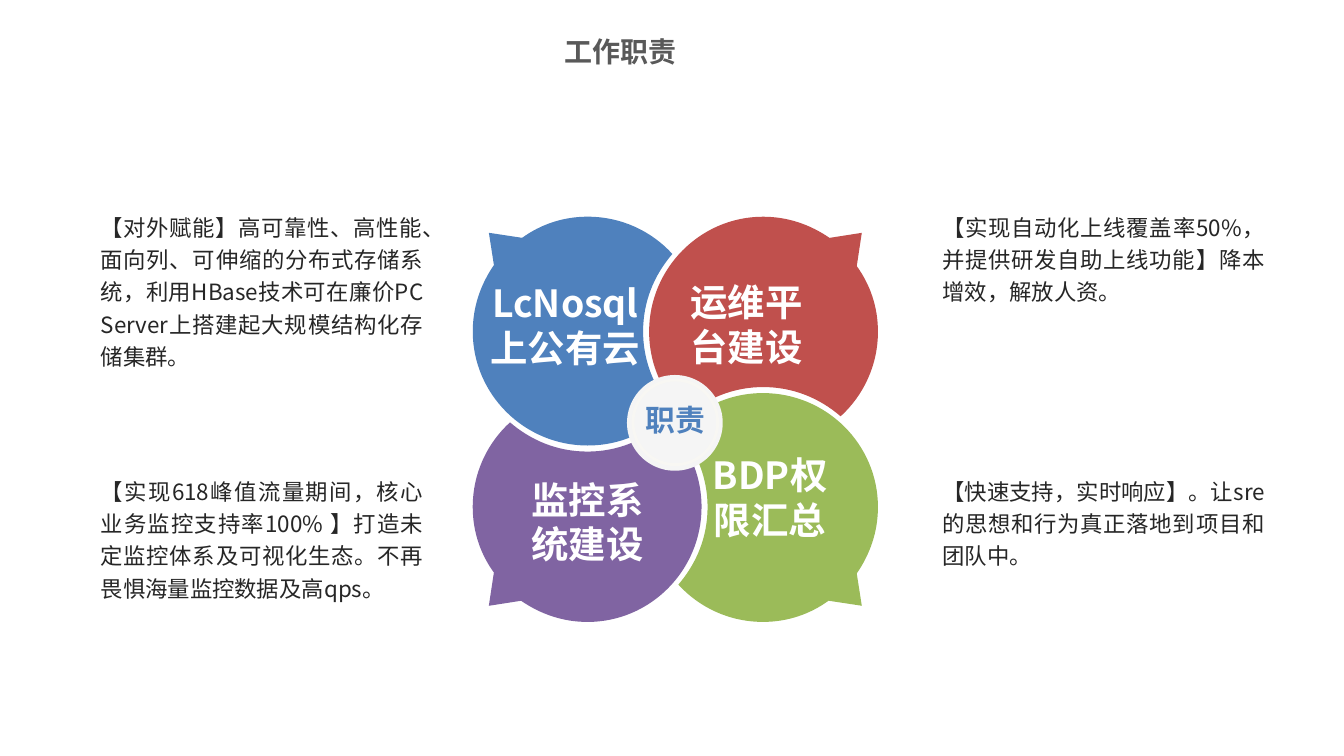
from lxml.etree import SubElement
from pptx import Presentation
from pptx.dml.color import RGBColor
from pptx.enum.shapes import MSO_SHAPE
from pptx.enum.text import MSO_AUTO_SIZE, PP_ALIGN
from pptx.oxml.ns import qn
from pptx.util import Inches, Pt

COLORS = {
    "title": "595959", "body": "262626", "white": "FFFFFF",
    "blue": "4F81BD", "red": "C0504D", "green": "9BBB59",
    "purple": "8064A2", "hub": "F5F5F5", "ring": "F8F7F3",
}
CENTER = (6.7, 4.16)
START = (-0.87, -2.01)
PETAL = (
    ((-0.54, -2.01), (-0.24, -1.87), (-0.03, -1.64)),
    ((-0.21, -1.43), (-0.32, -1.17), (-0.32, -0.87)),
    ((-0.32, -0.58), (-0.21, -0.31), (-0.03, -0.11)),
    ((-0.24, 0.12), (-0.54, 0.26), (-0.87, 0.26)),
    ((-1.5, 0.26), (-2.01, -0.25), (-2.01, -0.87)),
    ((-2.01, -1.12), (-1.93, -1.34), (-1.8, -1.53)),
    ((-1.85, -1.85),),
    ((-1.52, -1.8),),
    ((-1.34, -1.93), (-1.12, -2.01), START),
)


def place(point, turns):
    x, y = point
    for _ in range(turns):
        x, y = -y, x
    return Inches(CENTER[0] + x), Inches(CENTER[1] + y)


class Board:
    font = "Noto Sans CJK SC"

    def __init__(self, deck):
        self.slide = deck.slides.add_slide(deck.slide_layouts[6])
        self.shapes = self.slide.shapes

    def color(self, name):
        return RGBColor.from_string(COLORS[name])

    def paint(self, shape, fill=None, line=None, width=2):
        shape.shadow.inherit = False
        if fill:
            shape.fill.solid()
            shape.fill.fore_color.rgb = self.color(fill)
        else:
            shape.fill.background()
        if line:
            shape.line.color.rgb = self.color(line)
            shape.line.width = Pt(width)
        else:
            shape.line.fill.background()

    def text(self, words, box, size, color, bold=True,
             align=PP_ALIGN.CENTER, spacing=None):
        frame = self.shapes.add_textbox(*map(Inches, box)).text_frame
        frame.margin_left = frame.margin_right = 0
        frame.margin_top = frame.margin_bottom = 0
        frame.word_wrap = True
        frame.auto_size = MSO_AUTO_SIZE.SHAPE_TO_FIT_TEXT
        frame.text = words
        para = frame.paragraphs[0]
        para.alignment = align
        if spacing:
            para.line_spacing = spacing
        for run in para.runs:
            run.font.name = self.font
            run.font.size = Pt(size)
            run.font.bold = bold
            run.font.color.rgb = self.color(color)
            props = run.font._element
            SubElement(props, qn("a:ea")).set("typeface", self.font)

    def note(self, words, left, top, height):
        self.text(words, (left, top, 3.2, height), 16, "body",
                  False, PP_ALIGN.JUSTIFY, 1.2)

    def disc(self, left, top, size, fill=None, line=None):
        box = map(Inches, (left, top, size, size))
        shape = self.shapes.add_shape(MSO_SHAPE.OVAL, *box)
        self.paint(shape, fill, line)

    def petal(self, fill, turns):
        parts = [[place(p, turns) for p in part] for part in PETAL]
        pen = self.shapes.build_freeform(*place(START, turns), scale=1.0)
        pen.add_line_segments([part[-1] for part in parts], close=True)
        shape = pen.convert_to_shape()
        sides = list(shape._element.iter(qn("a:lnTo")))
        for side, part in zip(sides, parts):
            if len(part) == 3:
                side.tag = qn("a:cubicBezTo")
                side.clear()
                for x, y in part:
                    dot = SubElement(side, qn("a:pt"))
                    dot.set("x", str(x - shape.left))
                    dot.set("y", str(y - shape.top))
        self.paint(shape, fill)


def main():
    deck = Presentation()
    deck.slide_width = Inches(40 / 3)
    deck.slide_height = Inches(7.5)
    board = Board(deck)

    board.text("工作职责", (4.63, 0.34, 3.06, 0.34), 20, "title")

    left, right, upper, lower = 1, 9.35, 2.07, 4.69
    board.note("【对外赋能】高可靠性、高性能、面向列、可伸缩的分布式存储系统，"
               "利用HBase技术可在廉价PC Server上搭建起大规模结构化存储集群。",
               left, upper, 1.59)
    board.note("【实现自动化上线覆盖率50%，并提供研发自助上线功能】降本增效，解放人资。",
               right, upper, 0.94)
    board.note("【快速支持，实时响应】。让sre的思想和行为真正落地到项目和团队中。",
               right, lower, 0.94)
    board.note("【实现618峰值流量期间，核心业务监控支持率100% 】打造未定监控体系及"
               "可视化生态。不再畏惧海量监控数据及高qps。",
               left, lower, 1.27)

    petals = (("green", 2), ("purple", 3), ("blue", 0), ("red", 1))
    for fill, turns in petals:
        board.petal(fill, turns)

    board.disc(6.22, 3.72, 0.95, fill="hub")
    board.text("职责", (6.35, 3.99, 0.7, 0.36), 21.3, "blue")

    labels = (
        ("LcNosql上公有云", (4.84, 2.78, 1.54, 0.9)),
        ("运维平台建设", (6.77, 2.77, 1.27, 0.9)),
        ("监控系统建设", (5.24, 4.73, 1.18, 0.9)),
        ("BDP权限汇总", (6.97, 4.49, 1.34, 1.35)),
    )
    for words, box in labels:
        board.text(words, box, 26.7, "white")
    board.disc(6.28, 3.77, 0.84, line="ring")

    deck.save("out.pptx")


if __name__ == "__main__":
    main()
